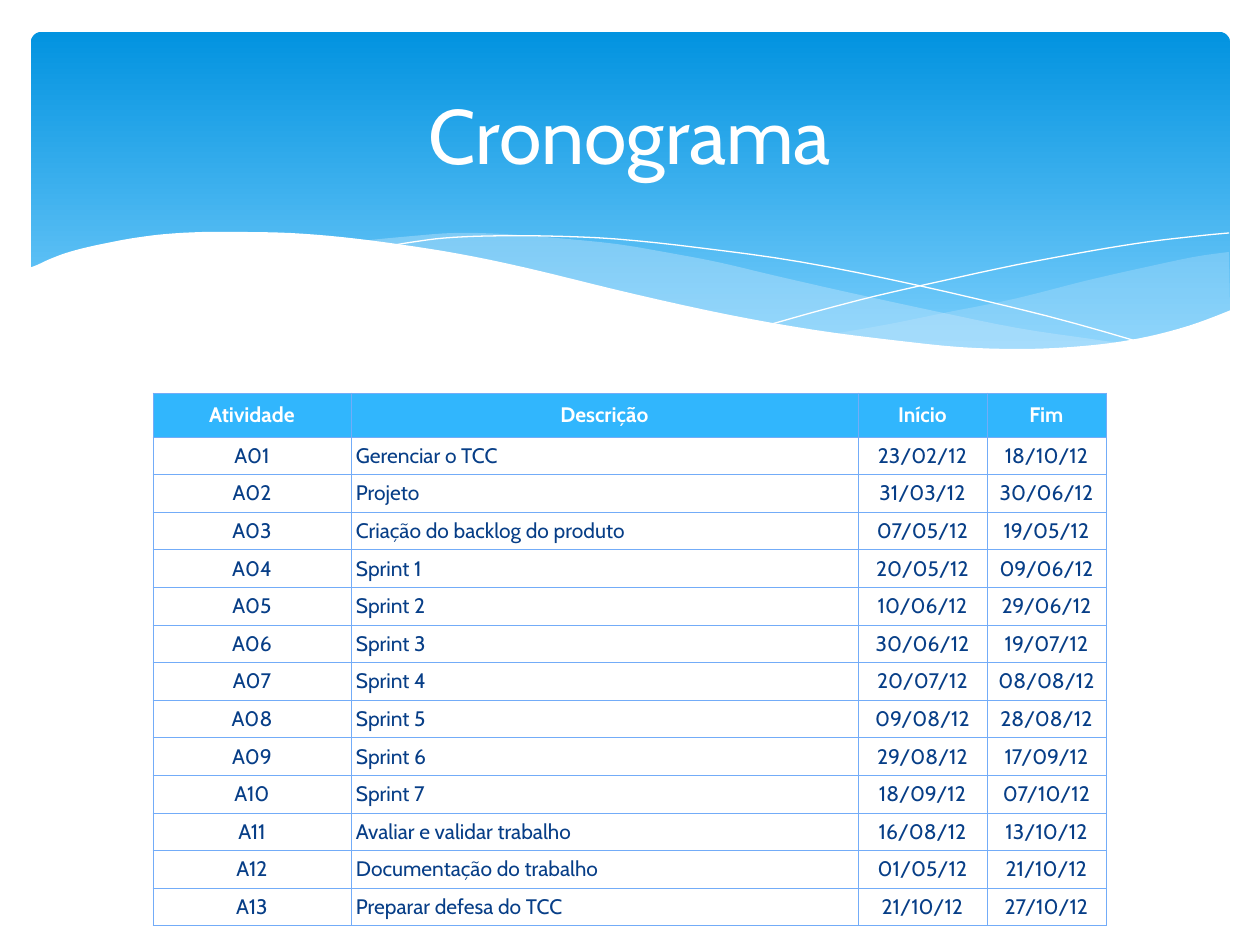
from dataclasses import dataclass
from lxml.etree import SubElement
from pptx import Presentation
from pptx.dml.color import RGBColor as Color
from pptx.enum.shapes import MSO_SHAPE as Shape
from pptx.enum.text import MSO_ANCHOR as Anchor, PP_ALIGN as Align
from pptx.oxml.ns import qn
from pptx.util import Pt

SCALE = 914400 / 126


@dataclass(frozen=True)
class Theme:
    font: str = "Cabin"
    title_size: int = 44
    table_size: int = 12
    border_width: float = 0.45
    white: str = "FFFFFF"
    navy: str = "073E87"
    sky: str = "31B6FD"
    border: str = "73ACF8"
    banner_top: str = "0293E0"
    banner_bottom: str = "83D3FE"
    veil: str = "C6E7FC"


THEME = Theme()

RIGHT_VEIL_TOP = [(1229, 252), (1194, 257), (1142, 268), (1085, 281), (1014, 299),
                  (949, 312), (890, 324), (833, 334)]
RIGHT_VEIL_BOTTOM = [(833, 334), (888, 341), (939, 346), (984, 349), (1026, 350),
                     (1063, 349), (1099, 346), (1130, 341), (1160, 334), (1187, 326),
                     (1213, 318), (1230, 311)]
LEFT_VEIL_TOP = [(1125, 344), (1091, 339), (1017, 328), (934, 311), (842, 291),
                 (772, 275), (717, 262), (664, 252), (616, 244), (556, 238),
                 (503, 234), (455, 233), (413, 236), (360, 241)]
LEFT_VEIL_BOTTOM = [(360, 241), (407, 247), (456, 256), (509, 266), (566, 280),
                    (668, 302), (736, 318), (799, 329), (857, 338), (910, 345),
                    (959, 349), (1003, 352), (1043, 352), (1080, 349), (1125, 344)]
FALLING_LINE = [(389, 246), (413, 242), (445, 238), (488, 236), (546, 236), (616, 239),
                (701, 248), (801, 262), (916, 285), (1047, 316), (1143, 343)]
RISING_LINE = [(772, 324), (822, 310), (876, 296), (942, 281), (1016, 265),
               (1091, 251), (1147, 242), (1198, 236), (1229, 233)]
WAVE_TOP = [(1231, 310), (1197, 323), (1159, 334), (1118, 342), (1071, 347), (1019, 349),
            (959, 347), (892, 340), (815, 330), (730, 315), (634, 294), (527, 268),
            (460, 254), (397, 244), (341, 237), (290, 233), (243, 232), (203, 232),
            (166, 234), (134, 238), (107, 243), (84, 248), (66, 253), (50, 259),
            (37, 265), (29, 268)]
WAVE_BASE = [(29, 415), (1231, 415)]

HEADINGS = ("Atividade", "Descrição", "Início", "Fim")
ACTIVITIES = [
    ("Gerenciar o TCC", "23/02/12", "18/10/12"),
    ("Projeto", "31/03/12", "30/06/12"),
    ("Criação do backlog do produto", "07/05/12", "19/05/12"),
    ("Sprint 1", "20/05/12", "09/06/12"),
    ("Sprint 2", "10/06/12", "29/06/12"),
    ("Sprint 3", "30/06/12", "19/07/12"),
    ("Sprint 4", "20/07/12", "08/08/12"),
    ("Sprint 5", "09/08/12", "28/08/12"),
    ("Sprint 6", "29/08/12", "17/09/12"),
    ("Sprint 7", "18/09/12", "07/10/12"),
    ("Avaliar e validar trabalho", "16/08/12", "13/10/12"),
    ("Documentação do trabalho", "01/05/12", "21/10/12"),
    ("Preparar defesa do TCC", "21/10/12", "27/10/12"),
]
COLUMN_WIDTHS = (198, 507, 129, 119)
HEADER_HEIGHT, ROW_HEIGHT = 44, 32


def px(length):
    return round(length * SCALE)


def apply(target, formats):
    for name, value in formats.items():
        setattr(target, name, value)


def paint(fill, color):
    fill.solid()
    fill.fore_color.rgb = Color.from_string(color)


def write(para, text, size, color, align, bold=False):
    para.alignment = align
    span = para.add_run()
    span.text = text
    apply(span.font, {"name": THEME.font, "size": Pt(size), "bold": bold})
    span.font.color.rgb = Color.from_string(color)


def smooth(knots, steps=4):
    padded = [knots[0], *knots, knots[-1]]
    points = [knots[0]]
    for quad in zip(padded, padded[1:], padded[2:], padded[3:]):
        for step in range(1, steps + 1):
            t = step / steps
            points.append(tuple(
                b + ((c - a) * t + (2 * a - 5 * b + 4 * c - d) * t ** 2
                     + (3 * b - a - 3 * c + d) * t ** 3) / 2
                for a, b, c, d in zip(*quad)))
    return points


def draw_outline(page, points, close):
    start, *rest = [(px(x), px(y)) for x, y in points]
    builder = page.shapes.build_freeform(*start)
    builder.add_line_segments(rest, close=close)
    outline = builder.convert_to_shape()
    outline.shadow.inherit = False
    return outline


def add_area(page, points, color, opacity=100):
    area = draw_outline(page, points, True)
    paint(area.fill, color)
    area.line.fill.background()
    if opacity < 100:
        tint = area.fill._xPr.find(qn("a:solidFill"))[0]
        SubElement(tint, qn("a:alpha"), val=str(opacity * 1000))


def add_curve(page, knots):
    curve = draw_outline(page, smooth(knots), False)
    curve.fill.background()
    paint(curve.line.fill, THEME.white)
    curve.line.width = 0


def add_banner(page):
    banner = page.shapes.add_shape(Shape.ROUNDED_RECTANGLE, px(31), px(32), px(1199), px(340))
    banner.adjustments[0] = 0.03
    banner.shadow.inherit = False
    banner.line.fill.background()
    banner.fill.gradient()
    banner.fill.gradient_angle = 270
    colors = (THEME.banner_top, THEME.banner_bottom)
    for position, (stop, color) in enumerate(zip(banner.fill.gradient_stops, colors)):
        stop.position = position
        stop.color.rgb = Color.from_string(color)


def add_title(page, text):
    box = page.shapes.add_textbox(px(63), px(47), px(1134), px(173))
    apply(box.text_frame, {"word_wrap": True, "vertical_anchor": Anchor.MIDDLE})
    write(box.text_frame.paragraphs[0], text, THEME.title_size, THEME.white, Align.CENTER)


def add_borders(cell):
    properties = cell._tc.get_or_add_tcPr()
    for side in "LRTB":
        line = SubElement(properties, qn(f"a:ln{side}"), w=str(Pt(THEME.border_width)))
        fill = SubElement(line, qn("a:solidFill"))
        SubElement(fill, qn("a:srgbClr"), val=THEME.border)


def fill_cell(cell, text, header, align):
    apply(cell, {"margin_left": px(5), "margin_right": px(5),
                 "margin_top": px(6), "margin_bottom": px(6),
                 "vertical_anchor": Anchor.MIDDLE if header else Anchor.TOP})
    add_borders(cell)
    if header:
        paint(cell.fill, THEME.sky)
    else:
        cell.fill.background()
    color = THEME.white if header else THEME.navy
    write(cell.text_frame.paragraphs[0], text, THEME.table_size, color, align, header)


def add_schedule(page):
    rows = [HEADINGS] + [(f"A{number:02}", *activity)
                         for number, activity in enumerate(ACTIVITIES, 1)]
    heights = [HEADER_HEIGHT] + [ROW_HEIGHT] * len(ACTIVITIES)
    table = page.shapes.add_table(len(rows), len(HEADINGS), px(153), px(393),
                                  px(sum(COLUMN_WIDTHS)), px(sum(heights))).table
    apply(table, {"first_row": False, "horz_banding": False})
    for column, width in zip(table.columns, COLUMN_WIDTHS):
        column.width = px(width)
    for r, (values, height) in enumerate(zip(rows, heights)):
        table.rows[r].height = px(height)
        for c, value in enumerate(values):
            align = Align.LEFT if r and c == 1 else Align.CENTER
            fill_cell(table.cell(r, c), value, r == 0, align)


def main():
    deck = Presentation()
    apply(deck, {"slide_width": px(1260), "slide_height": px(945)})
    page = deck.slides.add_slide(deck.slide_layouts[6])
    paint(page.background.fill, THEME.white)
    add_banner(page)
    add_area(page, smooth(RIGHT_VEIL_TOP) + smooth(RIGHT_VEIL_BOTTOM), THEME.veil, 29)
    add_area(page, smooth(LEFT_VEIL_TOP) + smooth(LEFT_VEIL_BOTTOM), THEME.veil, 40)
    add_curve(page, FALLING_LINE)
    add_curve(page, RISING_LINE)
    add_area(page, smooth(WAVE_TOP) + WAVE_BASE, THEME.white)
    add_schedule(page)
    add_title(page, "Cronograma")
    deck.save("out.pptx")


if __name__ == "__main__":
    main()
